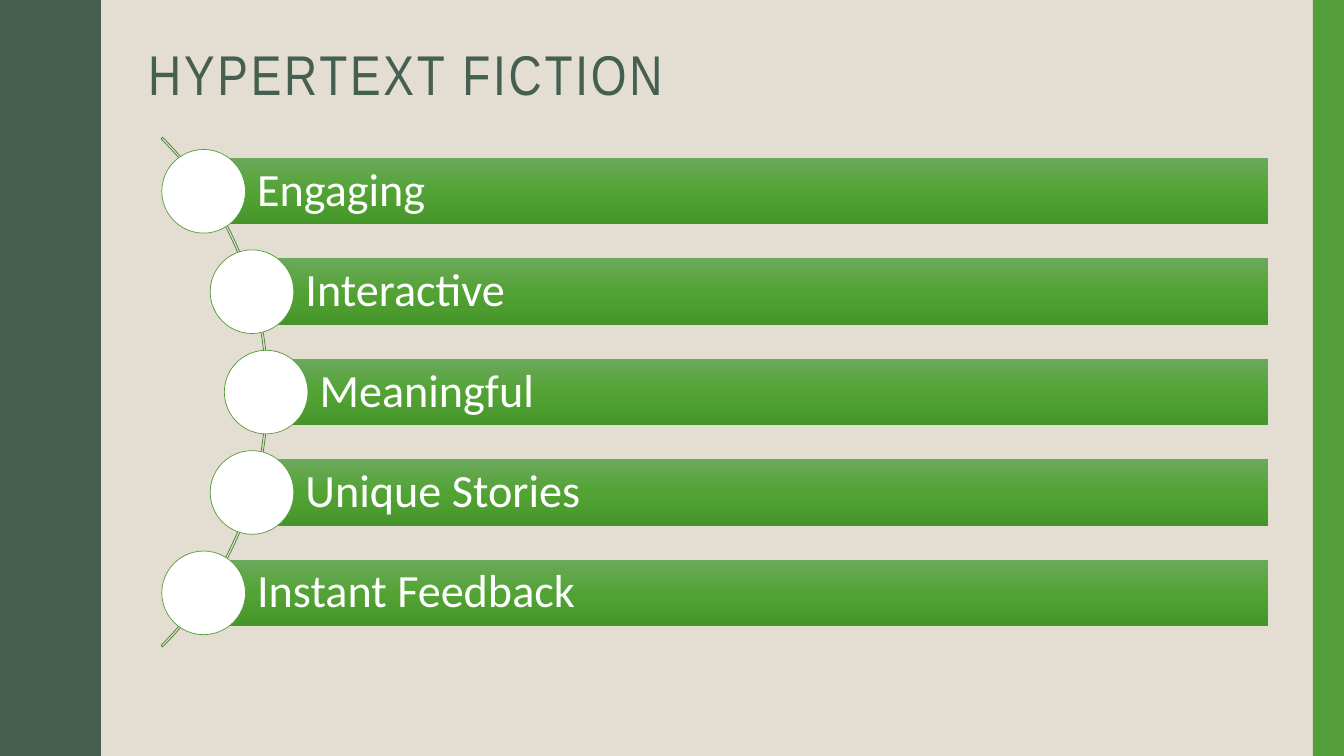
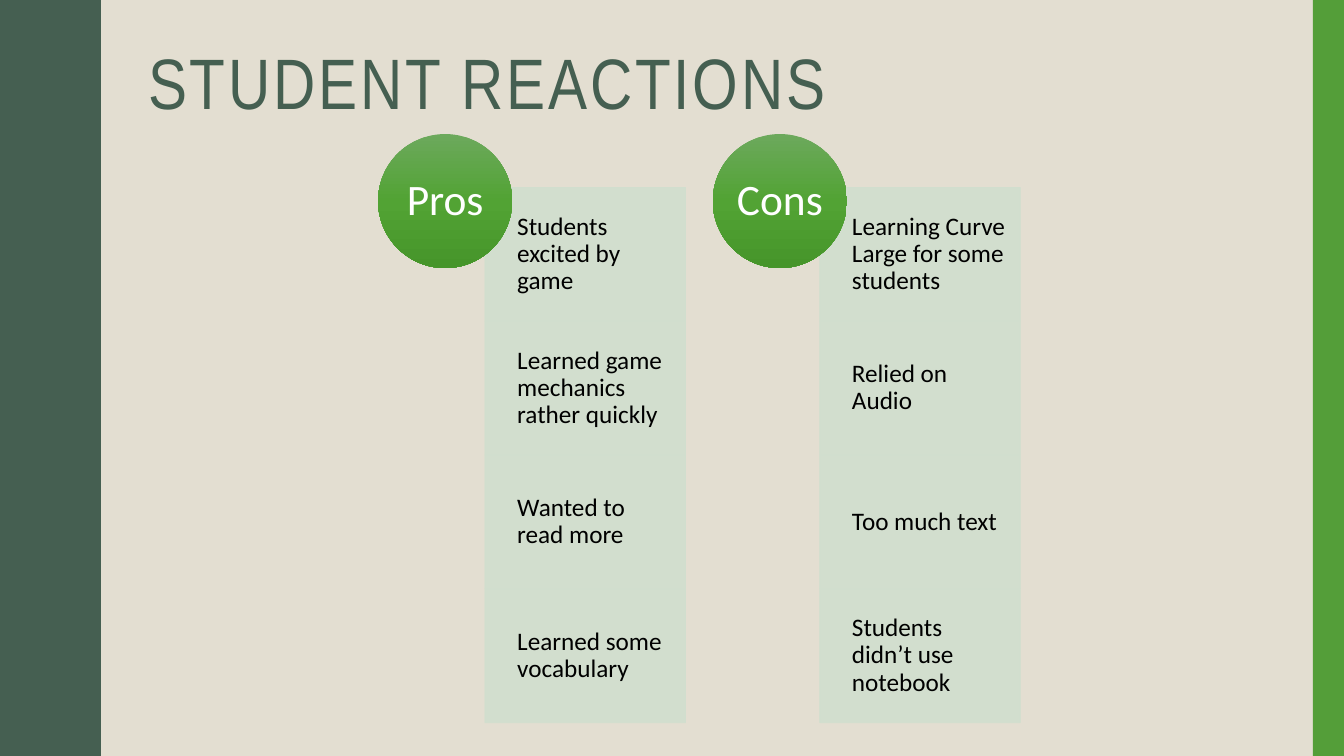
from lxml.etree import SubElement
from pptx import Presentation
from pptx.dml.color import RGBColor
from pptx.enum.shapes import MSO_SHAPE
from pptx.enum.text import MSO_ANCHOR, MSO_AUTO_SIZE, PP_ALIGN
from pptx.oxml.ns import qn
from pptx.util import Inches, Pt

COLORS = {
    "sand": "E3DED1", "pine": "455F51", "leaf": "549E39", "stem": "437F2E",
    "mint": "D1DFCE", "white": "FFFFFF", "black": "000000",
}
GLOSS = ((0, "6CA95C"), (50, "52A334"), (100, "46952A"))
HEAD, BODY = "Arial Narrow", "Calibri"
WIDTH, HEIGHT = 13.33, 7.5
CREST = (
    (0, 0.78), (0.07, 0.78), (0.14, 0.79), (0.2, 0.8), (0.25, 0.81),
    (0.29, 0.83), (0.33, 0.85), (0.38, 0.87), (0.42, 0.89), (0.46, 0.91),
    (0.5, 0.93), (0.55, 0.95), (0.61, 0.96), (0.68, 0.97), (0.75, 0.97),
)


def color(name):
    return RGBColor.from_string(COLORS[name])


def paint(shape, fill=None, line=None):
    shape.shadow.inherit = False
    if fill == "gloss":
        shape.fill.gradient()
        shape.fill.gradient_angle = 270
        stops = shape.element.spPr.find(".//" + qn("a:gsLst"))
        stops.clear()
        for place, tone in GLOSS:
            stop = SubElement(stops, qn("a:gs"), pos=str(place * 1000))
            SubElement(stop, qn("a:srgbClr"), val=tone)
    elif fill:
        shape.fill.solid()
        shape.fill.fore_color.rgb = color(fill)
    else:
        shape.fill.background()
    if line:
        shape.line.color.rgb = color(line)
        shape.line.width = Pt(0.5)
    else:
        shape.line.fill.background()


def draw(slide, kind, box, fill=None, line=None):
    shape = slide.shapes.add_shape(kind, *map(Inches, box))
    paint(shape, fill, line)
    return shape


def fade(shape, share):
    for tone in shape.element.spPr.iter(qn("a:srgbClr")):
        SubElement(tone, qn("a:alpha"), val=str(share * 1000))


def write(shape, text, size, tone, font=BODY, align=PP_ALIGN.LEFT,
          anchor=MSO_ANCHOR.MIDDLE, insets=(0, 0, 0, 0)):
    frame = shape.text_frame
    frame.word_wrap = True
    frame.auto_size = MSO_AUTO_SIZE.NONE
    frame.vertical_anchor = anchor
    (frame.margin_left, frame.margin_top,
     frame.margin_right, frame.margin_bottom) = map(Inches, insets)
    frame.text = text
    para = frame.paragraphs[0]
    para.alignment = align
    para.line_spacing = 0.9
    para.font.name = font
    para.font.size = Pt(size)
    para.font.color.rgb = color(tone)


def dress(layout, slide):
    layout.background.fill.solid()
    layout.background.fill.fore_color.rgb = color("sand")
    half = HEIGHT / 10
    edge = []
    for turn in range(10):
        part = CREST if turn % 2 == 0 else [
            (half - y, x) for y, x in reversed(CREST)]
        edge += [(x, turn * half + y) for y, x in part]
    pen = slide.shapes.build_freeform(0, 0, scale=Inches(1))
    pen.add_line_segments(edge + [(0, HEIGHT)])
    wave = pen.convert_to_shape()
    paint(wave, "pine")
    band = draw(slide, MSO_SHAPE.RECTANGLE,
                (WIDTH - 0.31, 0, 0.31, HEIGHT), "leaf")
    for rank, shape in enumerate((wave, band)):
        shape.element.nvSpPr.cNvPr.set("id", str(20 + rank))
        layout.shapes.element.insert(2 + rank, shape.element)


def head(slide, text, size):
    title = slide.shapes.title
    title.left, title.top, title.width, title.height = map(
        Inches, (1.37, 0.42, 11.13, 1.63))
    write(title, text, size, "pine", HEAD, anchor=MSO_ANCHOR.TOP,
          insets=(0.1, 0.05, 0.1, 0.05))
    for props in title.element.iter(qn("a:defRPr")):
        props.set("spc", "200")


def curve(slide, box, names):
    left, top, width, height = box
    size, bar, disc = 7.15, 0.66, 0.83
    step = height / len(names)
    arc = draw(slide, MSO_SHAPE.BLOCK_ARC,
               (left - 6.09, top + height / 2 - size / 2, size, size),
               line="stem")
    for rank, value in enumerate((189, 27, 0.003)):
        arc.adjustments[rank] = value
    for rank, (name, shift) in enumerate(
            zip(names, (0.42, 0.9, 1.04, 0.9, 0.42))):
        mid = top + step * (rank + 0.5)
        strip = draw(slide, MSO_SHAPE.RECTANGLE,
                     (left + shift, mid - bar / 2, width - shift, bar), "gloss")
        write(strip, name, 33, "white", insets=(0.53, 0.09, 0.09, 0.09))
        draw(slide, MSO_SHAPE.OVAL,
             (left + shift - disc / 2, mid - disc / 2, disc, disc),
             "white", "leaf")


def stack(slide, box, name, notes):
    left, top, width, height = box
    disc, inset, drop = 1.33, 1.06, 0.53
    row = (height - drop) / len(notes)
    for rank, note in enumerate(notes):
        cell = draw(slide, MSO_SHAPE.RECTANGLE,
                    (left + inset, top + drop + rank * row, width - inset, row),
                    "mint", "mint")
        fade(cell, 90)
        write(cell, note, 18, "black", insets=(0.32, 0.14, 0.13, 0.14))
    ball = draw(slide, MSO_SHAPE.OVAL, (left, top, disc, disc), "gloss")
    write(ball, name, 31, "white", align=PP_ALIGN.CENTER)


def main():
    deck = Presentation()
    deck.slide_width, deck.slide_height = Inches(WIDTH), Inches(HEIGHT)
    layout = deck.slide_layouts[5]

    traits = deck.slides.add_slide(layout)
    dress(layout, traits)
    head(traits, "HYPERTEXT FICTION", 40)
    curve(traits, (1.6, 1.4, 10.98, 4.98),
          ("Engaging", "Interactive", "Meaningful", "Unique Stories",
           "Instant Feedback"))

    views = deck.slides.add_slide(layout)
    head(views, "STUDENT REACTIONS", 51)
    lists = {
        "Pros": ("Students excited by game",
                 "Learned game mechanics rather quickly",
                 "Wanted to read more", "Learned some vocabulary"),
        "Cons": ("Learning Curve Large for some students",
                 "Relied on Audio", "Too much text",
                 "Students didn’t use notebook"),
    }
    for rank, (name, notes) in enumerate(lists.items()):
        stack(views, (3.75 + rank * 3.32, 1.33, 3.05, 5.84), name, notes)
    deck.save("out.pptx")


if __name__ == "__main__":
    main()
